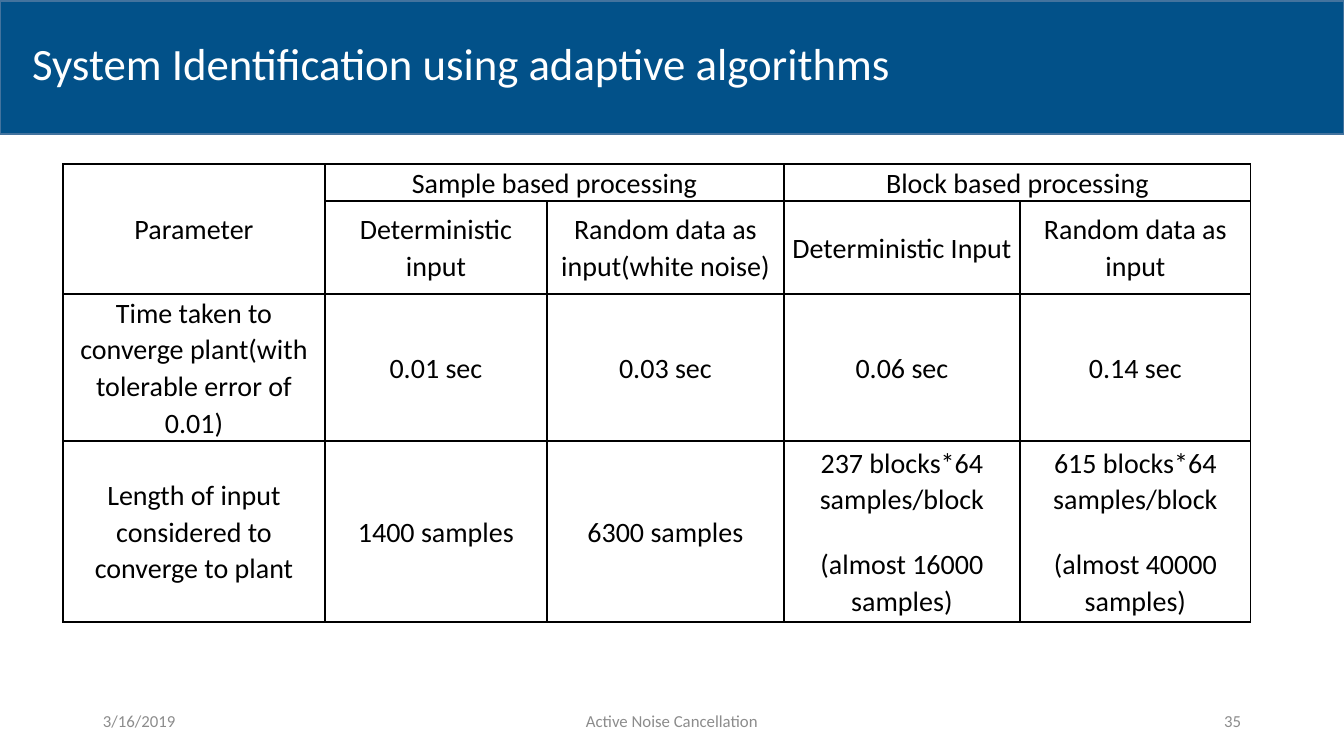
from lxml import etree
from pptx import Presentation, util as u
from pptx.dml.color import RGBColor
from pptx.enum import shapes, text
from pptx.oxml import ns

THEME = {
    "font": "Calibri",
    "band": RGBColor.from_string("025189"),
    "band_line": RGBColor.from_string("43739E"),
    "title": RGBColor.from_string("FFFFFF"),
    "footer": RGBColor.from_string("8C8C8C"),
    "ink": RGBColor.from_string("000000"),
    "title_size": u.Pt(32),
    "table_size": u.Pt(20),
    "footer_size": u.Pt(12),
    "rule": u.Pt(1),
}
SCALE = 12192000 / 1344


def px(length):
    return u.Emu(round(length * SCALE))


def write(frame, lines, role, size, align, spacing=1.0):
    formats = {"name": THEME["font"], "size": THEME[size], "bold": False}
    for index, line in enumerate(lines):
        para = frame.paragraphs[0] if index == 0 else frame.add_paragraph()
        para.alignment = align
        para.line_spacing = spacing
        if index:
            para.space_before = u.Pt(20)
        span = para.add_run()
        span.text = line
        for key, value in formats.items():
            setattr(span.font, key, value)
        span.font.color.rgb = THEME[role]


LEFT, CENTER, RIGHT = text.PP_ALIGN.LEFT, text.PP_ALIGN.CENTER, text.PP_ALIGN.RIGHT
MIDDLE = text.MSO_ANCHOR.MIDDLE

deck = Presentation()
deck.slide_width, deck.slide_height = px(1344), px(756)
page = deck.slides.add_slide(deck.slide_layouts[5])

band = page.shapes.add_shape(shapes.MSO_SHAPE.RECTANGLE, px(0), px(1), px(1344), px(133))
band.shadow.inherit = False
band.fill.solid()
band.fill.fore_color.rgb = THEME["band"]
band.line.color.rgb = THEME["band_line"]
band.line.width = THEME["rule"]

title = page.shapes.title
title.element.addprevious(band.element)
title.left, title.top, title.width, title.height = px(22), px(30), px(1159), px(72)
title.text_frame.auto_size = text.MSO_AUTO_SIZE.NONE
title.text_frame.vertical_anchor = MIDDLE
write(title.text_frame, ["System Identification using adaptive algorithms"], "title", "title_size", LEFT, 0.9)

FOOTERS = [
    ("3/16/2019", 93, 302, LEFT),
    ("Active Noise Cancellation", 445, 454, CENTER),
    ("35", 949, 302, RIGHT),
]
for label, left, width, align in FOOTERS:
    box = page.shapes.add_textbox(px(left), px(701), px(width), px(40))
    box.text_frame.word_wrap = True
    box.text_frame.vertical_anchor = MIDDLE
    write(box.text_frame, [label], "footer", "footer_size", align)

COLUMNS = [262, 222, 237, 236, 231]
ROWS = [37, 93, 147, 181]
CELLS = [
    ["Parameter", "Sample based processing", "", "Block based processing", ""],
    ["", "Deterministic input", "Random data as input(white noise)", "Deterministic Input", "Random data as input"],
    ["Time taken to converge plant(with tolerable error of 0.01)", "0.01 sec", "0.03 sec", "0.06 sec", "0.14 sec"],
    [
        "Length of input considered to converge to plant",
        "1400 samples",
        "6300 samples",
        "237 blocks*64 samples/block\n(almost 16000 samples)",
        "615 blocks*64 samples/block\n(almost 40000 samples)",
    ],
]
MERGES = [((0, 0), (1, 0)), ((0, 1), (0, 2)), ((0, 3), (0, 4))]
CELL_FORMAT = {
    "margin_left": px(7),
    "margin_right": px(7),
    "margin_top": 0,
    "margin_bottom": 0,
    "vertical_anchor": MIDDLE,
}

table = page.shapes.add_table(
    len(ROWS), len(COLUMNS), px(63), px(164), px(sum(COLUMNS)), px(sum(ROWS))
).table
table.first_row = table.horz_banding = False
for column, width in zip(table.columns, COLUMNS):
    column.width = px(width)
for row, height in zip(table.rows, ROWS):
    row.height = px(height)
for start, end in MERGES:
    table.cell(*start).merge(table.cell(*end))

for r, labels in enumerate(CELLS):
    for c, label in enumerate(labels):
        cell = table.cell(r, c)
        for key, value in CELL_FORMAT.items():
            setattr(cell, key, value)
        properties = cell._tc.get_or_add_tcPr()
        for side in ("lnL", "lnR", "lnT", "lnB"):
            line = etree.SubElement(properties, ns.qn("a:" + side), w=str(THEME["rule"]))
            fill = etree.SubElement(line, ns.qn("a:solidFill"))
            etree.SubElement(fill, ns.qn("a:srgbClr"), val=str(THEME["ink"]))
        cell.fill.background()
        if label:
            write(cell.text_frame, label.split("\n"), "ink", "table_size", CENTER, 1.07)
        else:
            cell.text_frame.paragraphs[0].font.size = THEME["footer_size"]

deck.save("out.pptx")
